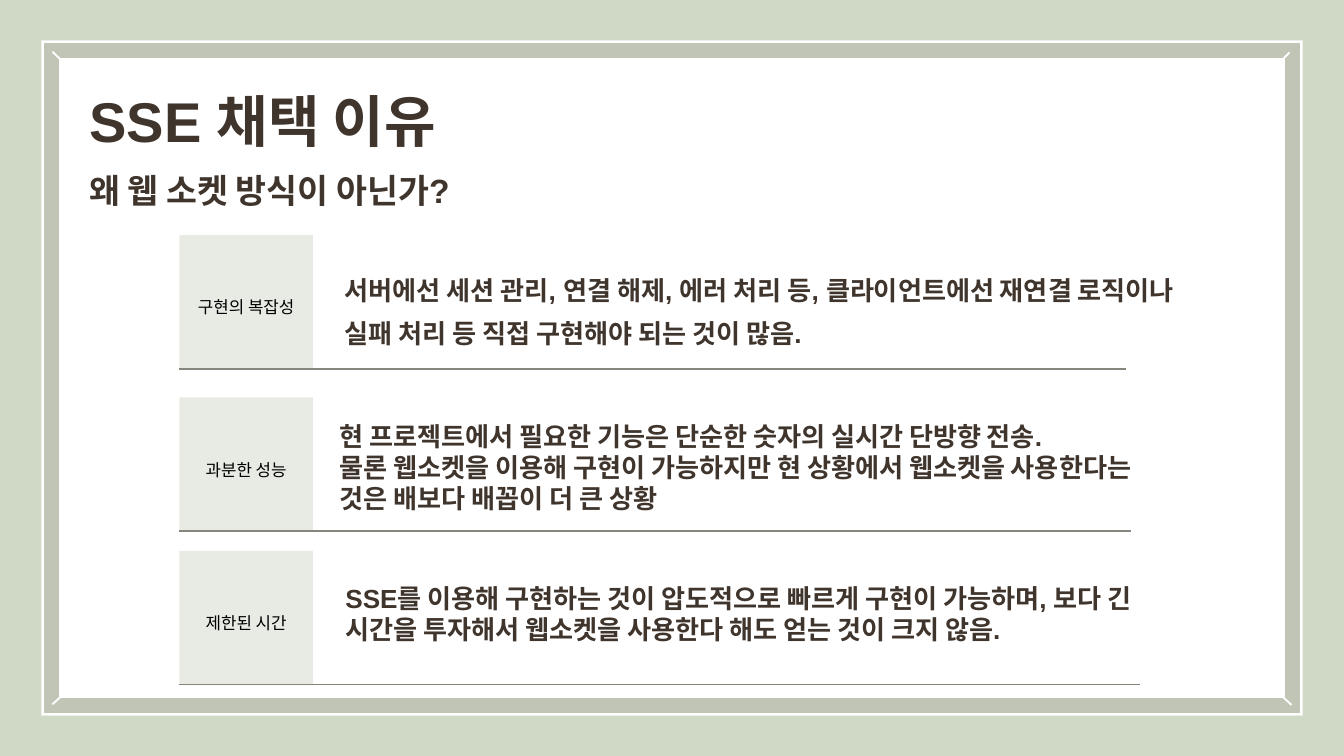
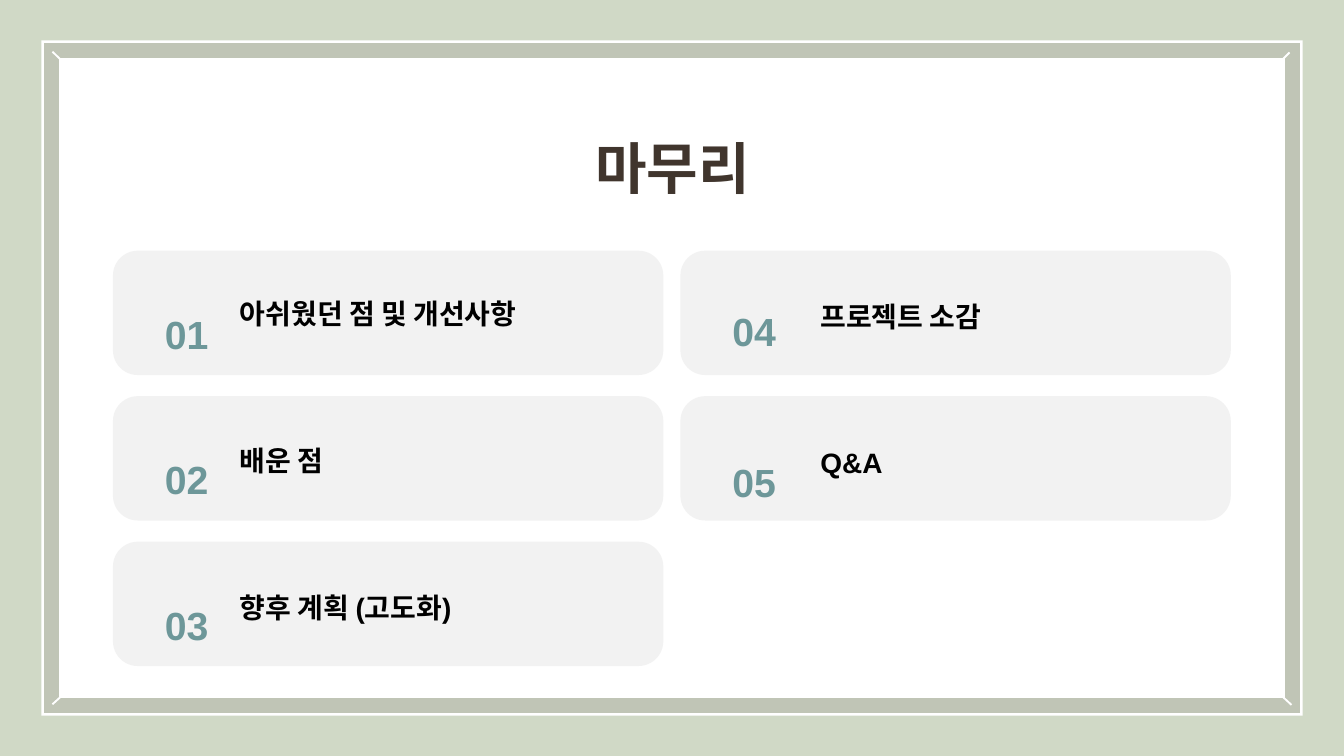
from dataclasses import dataclass
from lxml.etree import SubElement
from pptx import Presentation
from pptx.dml.color import RGBColor as RGB
from pptx.enum.shapes import MSO_CONNECTOR as Conn, MSO_SHAPE as Kind
from pptx.enum.text import MSO_ANCHOR as Anchor, MSO_AUTO_SIZE as Fit, PP_ALIGN as Align
from pptx.oxml.ns import qn
from pptx.util import Pt


@dataclass(frozen=True)
class Theme:
    back: str = "D0D9C6"
    paper: str = "FFFFFF"
    edge: str = "C0C5B6"
    ink: str = "40352D"
    black: str = "000000"
    rule: str = "86867D"
    tile: str = "E8EBE4"
    card: str = "F2F2F2"
    accent: str = "6D9799"
    font: str = "Arial"
    plain: str = "Calibri"
    title: int = 60
    sub: int = 36
    number: int = 42
    item: int = 30
    body: int = 28
    label: int = 18


T = Theme()
WIDE, HIGH = 1440, 810

HEAD = [("SSE 채택 이유", T.title), ("왜 웹 소켓 방식이 아닌가?", T.sub)]

# label, tile top, end of rule, lines, text box, text format
REASONS = [
    ("구현의 복잡성", 252, 1206,
     ["서버에선 세션 관리, 연결 해제, 에러 처리 등, 클라이언트에선 재연결 로직이나 "
      "실패 처리 등 직접 구현해야 되는 것이 많음."],
     (369.4, 280, 931.7, 128.9), dict(space=1.4)),
    ("과분한 성능", 425.8, 1211.8,
     ["현 프로젝트에서 필요한 기능은 단순한 숫자의 실시간 단방향 전송.",
      "물론 웹소켓을 이용해 구현이 가능하지만 현 상황에서 웹소켓을 사용한다는 것은 "
      "배보다 배꼽이 더 큰 상황"],
     (359.3, 450, 879.1, 101.5), dict(indent=4.3)),
    ("제한된 시간", 590.2, 1221,
     ["SSE를 이용해 구현하는 것이 압도적으로 빠르게 구현이 가능하며, 보다 긴 "
      "시간을 투자해서 웹소켓을 사용한다 해도 얻는 것이 크지 않음."],
     (365.8, 623.5, 873.4, 67.7), dict(indent=4.3)),
]

# topic, drop of the number and drop of the topic inside the card
TOPICS = [
    ("아쉬웠던 점 및 개선사항", 43.2, 51.1),
    ("배운 점", 43.2, 52.5),
    ("향후 계획 (고도화)", 43.8, 54.7),
    ("프로젝트 소감", 41, 54.7),
    ("Q&A", 46, 54.7),
]


def text(slide, lines, box, size=T.body, font=T.font, color=T.ink, bold=True,
         align=Align.LEFT, space=None, indent=0, inset=0, anchor=Anchor.TOP, grow=True):
    """Add a text box; each line is a string or a (string, size) pair."""
    frame = slide.shapes.add_textbox(*map(Pt, box)).text_frame
    frame.word_wrap = True
    frame.auto_size = Fit.SHAPE_TO_FIT_TEXT if grow else Fit.NONE
    frame.vertical_anchor = anchor
    frame.margin_left = frame.margin_right = Pt(inset)
    frame.margin_top = frame.margin_bottom = Pt(inset)
    for i, line in enumerate(lines):
        words, pts = line if isinstance(line, tuple) else (line, size)
        para = frame.add_paragraph() if i else frame.paragraphs[0]
        para.alignment = align
        if space:
            para.line_spacing = space
        if indent:
            props = para._p.get_or_add_pPr()
            props.set("marL", str(int(Pt(indent))))
            props.set("indent", "0")
        run = para.add_run()
        run.text = words
        run.font.size, run.font.name, run.font.bold = Pt(pts), font, bold
        run.font.color.rgb = RGB.from_string(color)


def block(slide, box, fill, kind=Kind.RECTANGLE, edge=None, width=0):
    shape = slide.shapes.add_shape(kind, *map(Pt, box))
    shape.shadow.inherit = False
    shape.fill.solid()
    shape.fill.fore_color.rgb = RGB.from_string(fill)
    if edge:
        shape.line.color.rgb = RGB.from_string(edge)
        shape.line.width = Pt(width)
        SubElement(shape.line._get_or_add_ln(), qn("a:miter"), lim="800000")
    else:
        shape.line.fill.background()
    return shape


def stroke(slide, ends, color, width):
    line = slide.shapes.add_connector(Conn.STRAIGHT, *map(Pt, ends))
    line.line.color.rgb = RGB.from_string(color)
    line.line.width = Pt(width)
    SubElement(line._element.spPr, qn("a:effectLst"))


def framed(deck):
    """Add a slide with the shared background and bevelled frame."""
    slide = deck.slides.add_slide(deck.slide_layouts[6])
    slide.background.fill.solid()
    slide.background.fill.fore_color.rgb = RGB.from_string(T.back)
    for x, y, edge in ((44.4, 43.2, None), (55.4, 54, T.edge)):
        block(slide, (x, y, WIDE - 2 * x, HIGH - 2 * y), T.paper, edge=edge, width=16.5)
    for ends in ((56.2, 55.4, 72, 70.6), (1366.6, 739.4, 1383.8, 755.3),
                 (56.2, 754.6, 71.3, 740.9), (1367.3, 70.6, 1381.7, 56.2)):
        stroke(slide, ends, T.paper, 2)
    return slide


def reasons(deck):
    slide = framed(deck)
    text(slide, HEAD, (95.8, 64.1, 816.5, 162.7), space=1.4)
    left, side, lift = 192.2, 143, 9
    for label, top, end, lines, box, style in REASONS:
        block(slide, (left, top, side, side + 0.8), T.tile)
        text(slide, [label], (left, top - lift, side, side + lift), T.label, T.plain,
             T.black, False, Align.CENTER, space=1.94, inset=3.6,
             anchor=Anchor.MIDDLE, grow=False)
        text(slide, lines, box, **style)
        base = top + side + 0.3
        stroke(slide, (left, base, end, base), T.rule, 1.5)


def closing(deck):
    slide = framed(deck)
    text(slide, ["마무리"], (417.6, 114.5, 605.5, 72.7), T.title,
         align=Align.CENTER, space=1.4)
    rows, wide, high = 3, 589.7, 133.2
    for i, (topic, drop, fall) in enumerate(TOPICS):
        col, row = divmod(i, rows)
        x, y = 121 + col * 608, 268.6 + row * 155.9
        card = block(slide, (x, y, wide, high), T.card, Kind.ROUNDED_RECTANGLE)
        card.adjustments[0] = 0.2
        text(slide, [f"{i + 1:02}"], (x + 37.2, y + drop, 83.5, 51.1), T.number,
             color=T.accent, align=Align.CENTER, space=1.4)
        text(slide, [topic], (x + 136 + col * 14, y + fall, 370, 34.6), T.item,
             color=T.black, space=0.96)


def main():
    deck = Presentation()
    deck.slide_width, deck.slide_height = Pt(WIDE), Pt(HIGH)
    reasons(deck)
    closing(deck)
    deck.save("out.pptx")


if __name__ == "__main__":
    main()
